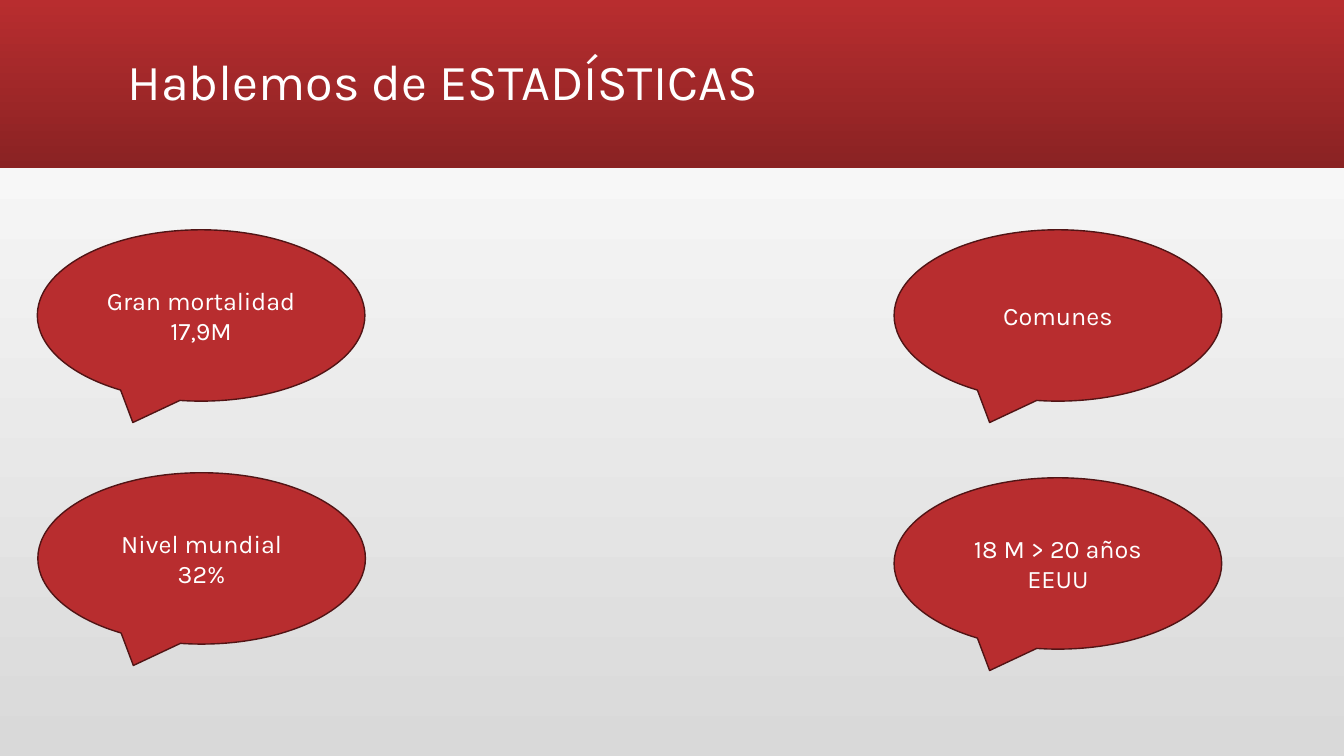
from pptx import Presentation
from pptx.dml.color import RGBColor
from pptx.enum import shapes, text
from pptx.util import Pt

TITLE = "Hablemos de ESTADÍSTICAS"
# (left, top, paragraphs) of each callout, in points
CALLOUTS = [
    (26.64, 164.16, ["Gran mortalidad", "17,9M"]),
    (638.64, 164.16, ["Comunes"]),
    (638.64, 341.28, ["18 M > 20 años", "EEUU"]),
    (27, 337.68, ["Nivel mundial 32%"]),
]

SLIDE_W, SLIDE_H = 960, 540
BANNER_H = 120
CALLOUT_W, CALLOUT_H = 234, 122.4
FONT = "Karla"
RED = RGBColor(0xB8, 0x2D, 0x2F)
DARK_RED = RGBColor(0x8A, 0x22, 0x23)
OUTLINE = RGBColor(0x51, 0x14, 0x15)
GREY = RGBColor(0xD9, 0xD9, 0xD9)
WHITE = RGBColor(0xFF, 0xFF, 0xFF)


def fill_gradient(fill, start, end, angle):
    """Fill from start to end; the angle runs counter-clockwise."""
    fill.gradient()
    fill.gradient_angle = angle
    for stop, color, position in zip(fill.gradient_stops, (start, end), (0, 1)):
        stop.color.rgb = color
        stop.position = position


def write(frame, paragraphs, size, align, spacing=None):
    frame.word_wrap = True
    frame.vertical_anchor = text.MSO_ANCHOR.MIDDLE
    for index, line in enumerate(paragraphs):
        paragraph = frame.add_paragraph() if index else frame.paragraphs[0]
        paragraph.alignment = align
        paragraph.line_spacing = spacing
        run = paragraph.add_run()
        run.text = line
        run.font.name = FONT
        run.font.size = Pt(size)
        run.font.color.rgb = WHITE


def add_callout(slide, left, top, paragraphs):
    callout = slide.shapes.add_shape(
        shapes.MSO_SHAPE.OVAL_CALLOUT,
        Pt(left), Pt(top), Pt(CALLOUT_W), Pt(CALLOUT_H))
    callout.shadow.inherit = False
    callout.fill.solid()
    callout.fill.fore_color.rgb = RED
    callout.line.color.rgb = OUTLINE
    callout.line.width = Pt(1)
    write(callout.text_frame, paragraphs, 18, text.PP_ALIGN.CENTER)


def main():
    deck = Presentation()
    deck.slide_width, deck.slide_height = Pt(SLIDE_W), Pt(SLIDE_H)
    slide = deck.slides.add_slide(deck.slide_layouts[6])
    fill_gradient(slide.background.fill, GREY, WHITE, 90)

    banner = slide.shapes.add_shape(
        shapes.MSO_SHAPE.RECTANGLE, 0, 0, Pt(SLIDE_W), Pt(BANNER_H))
    banner.shadow.inherit = False
    banner.line.fill.background()
    fill_gradient(banner.fill, RED, DARK_RED, 270)

    title = slide.shapes.add_textbox(Pt(84), Pt(8), Pt(792), Pt(104.4))
    write(title.text_frame, [TITLE], 36, text.PP_ALIGN.LEFT, 0.9)

    for left, top, paragraphs in CALLOUTS:
        add_callout(slide, left, top, paragraphs)

    deck.save("out.pptx")


if __name__ == "__main__":
    main()
